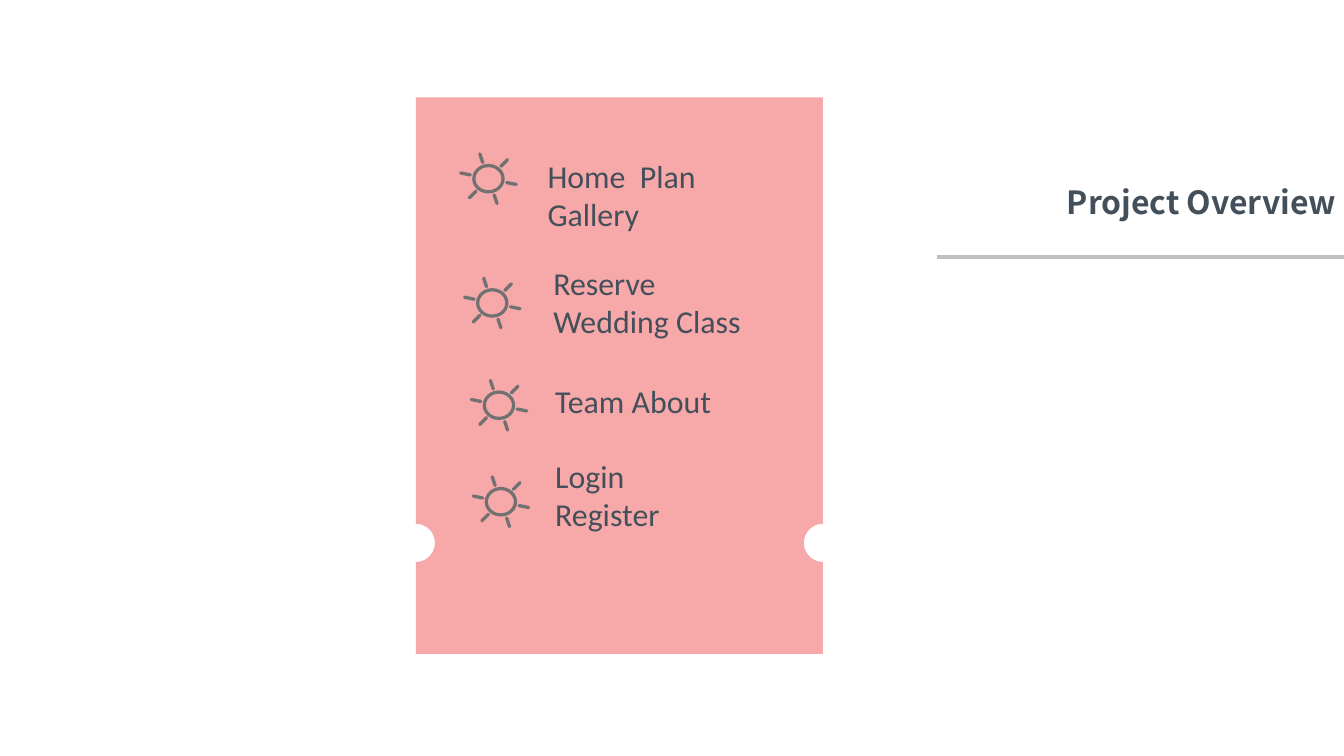
from dataclasses import dataclass
from math import cos, pi, sin

from lxml.etree import SubElement
from pptx import Presentation
from pptx.dml.color import RGBColor
from pptx.enum.shapes import MSO_CONNECTOR as Connector
from pptx.enum.shapes import MSO_SHAPE as Shape
from pptx.enum.text import MSO_ANCHOR as Anchor
from pptx.enum.text import MSO_AUTO_SIZE as AutoSize
from pptx.enum.text import PP_ALIGN as Align
from pptx.oxml.ns import qn
from pptx.util import Inches, Pt


@dataclass(frozen=True)
class Theme:
    card: RGBColor = RGBColor(0xF6, 0x93, 0x94)
    card_alpha: int = 80
    sun: RGBColor = RGBColor(0x72, 0x71, 0x71)
    rule: RGBColor = RGBColor(0xBF, 0xBF, 0xBF)
    text: RGBColor = RGBColor(0x43, 0x4F, 0x5A)
    title_font: str = "Noto Sans CJK SC"
    body_font: str = "Calibri"
    size: Pt = Pt(24)
    rule_width: Pt = Pt(3)
    ray_width: Pt = Pt(2.5)


THEME = Theme()
SLIDE_WIDTH, SLIDE_HEIGHT = 14.06, 7.91

# Card edges and the half-round notches in its sides
LEFT, TOP, RIGHT, BOTTOM = 4.35, 1.02, 8.61, 6.84
NOTCH_Y, NOTCH_RADIUS, NOTCH_STEPS = 5.68, 0.2, 24

# Sun ring, and one ray of each opposite pair as inner and outer end
RING_WIDTH, RING_HEIGHT, RING_BAND = 0.34, 0.31, 0.11
RAYS = [
    ((0.06, 0.17), (0.09, 0.26)),
    ((0.19, 0.04), (0.29, 0.06)),
    ((0.13, -0.13), (0.2, -0.2)),
]

# Sun centre, text box (left, top, width, height), paragraphs
MENU = [
    ((5.11, 1.87), (5.63, 1.59, 2.76, 0.9), ["Home  Plan  Gallery"]),
    ((5.15, 3.17), (5.69, 2.71, 2.63, 0.9), ["Reserve", "Wedding Class"]),
    ((5.22, 4.24), (5.71, 3.94, 2.03, 0.5), ["Team About"]),
    ((5.24, 5.25), (5.71, 4.73, 1.88, 0.9), ["Login Register"]),
]


def style_font(paragraph, name, bold=False):
    font = paragraph.font
    font.name, font.size, font.bold = name, THEME.size, bold
    font.color.rgb = THEME.text


def add_line(shapes, start, end, color, width):
    line = shapes.add_connector(
        Connector.STRAIGHT, *(Inches(value) for value in (*start, *end))
    )
    line.line.color.rgb = color
    line.line.width = width
    SubElement(line._element.spPr, qn("a:effectLst"))
    return line


def notch(edge, side):
    """Half circle: down the right edge (side -1), up the left edge (side 1)."""
    angles = [pi * step / NOTCH_STEPS for step in range(NOTCH_STEPS + 1)]
    return [
        (edge + side * NOTCH_RADIUS * sin(angle),
         NOTCH_Y + side * NOTCH_RADIUS * cos(angle))
        for angle in angles
    ]


def add_card(slide):
    points = [(RIGHT, TOP), *notch(RIGHT, -1), (RIGHT, BOTTOM),
              (LEFT, BOTTOM), *notch(LEFT, 1)]
    builder = slide.shapes.build_freeform(Inches(LEFT), Inches(TOP))
    builder.add_line_segments([(Inches(x), Inches(y)) for x, y in points])
    card = builder.convert_to_shape()
    card.shadow.inherit = False
    card.line.fill.background()
    card.fill.solid()
    card.fill.fore_color.rgb = THEME.card
    color = card._element.spPr.find(f"{qn('a:solidFill')}/{qn('a:srgbClr')}")
    SubElement(color, qn("a:alpha"), val=str(THEME.card_alpha * 1000))


def add_sun(slide, center):
    x, y = center
    shapes = slide.shapes.add_group_shape().shapes
    ring = shapes.add_shape(
        Shape.DONUT, Inches(x - RING_WIDTH / 2), Inches(y - RING_HEIGHT / 2),
        Inches(RING_WIDTH), Inches(RING_HEIGHT),
    )
    ring.adjustments[0] = RING_BAND
    ring.shadow.inherit = False
    ring.fill.solid()
    ring.fill.fore_color.rgb = THEME.sun
    ring.line.fill.background()
    for inner, outer in RAYS:
        for side in (-1, 1):
            start, end = (
                (x + side * dx, y + side * dy) for dx, dy in (inner, outer)
            )
            ray = add_line(shapes, start, end, THEME.sun, THEME.ray_width)
            ray.line._get_or_add_ln().set("cap", "rnd")


def add_label(slide, box, lines):
    label = slide.shapes.add_textbox(*(Inches(value) for value in box))
    frame = label.text_frame
    frame.word_wrap = True
    frame.text = "\n".join(lines)
    for paragraph in frame.paragraphs:
        style_font(paragraph, THEME.body_font)


def set_title(slide, text):
    title = slide.shapes.title
    title.left, title.top = Inches(11.06), Inches(1.86)
    title.width, title.height = Inches(3), Inches(0.5)
    frame = title.text_frame
    frame.text = text
    frame.auto_size = AutoSize.NONE
    frame.word_wrap = True
    frame.vertical_anchor = Anchor.MIDDLE
    frame.margin_right = 0
    paragraph = frame.paragraphs[0]
    paragraph.alignment = Align.LEFT
    style_font(paragraph, THEME.title_font, bold=True)


def main():
    presentation = Presentation()
    presentation.slide_width = Inches(SLIDE_WIDTH)
    presentation.slide_height = Inches(SLIDE_HEIGHT)
    slide = presentation.slides.add_slide(presentation.slide_layouts[5])

    # Heading and its rule
    set_title(slide, "Project Overview")
    add_line(slide.shapes, (9.8, 2.69), (SLIDE_WIDTH, 2.69),
             THEME.rule, THEME.rule_width)

    # Menu card
    add_card(slide)
    for center, box, lines in MENU:
        add_sun(slide, center)
        add_label(slide, box, lines)

    presentation.save("out.pptx")


if __name__ == "__main__":
    main()
